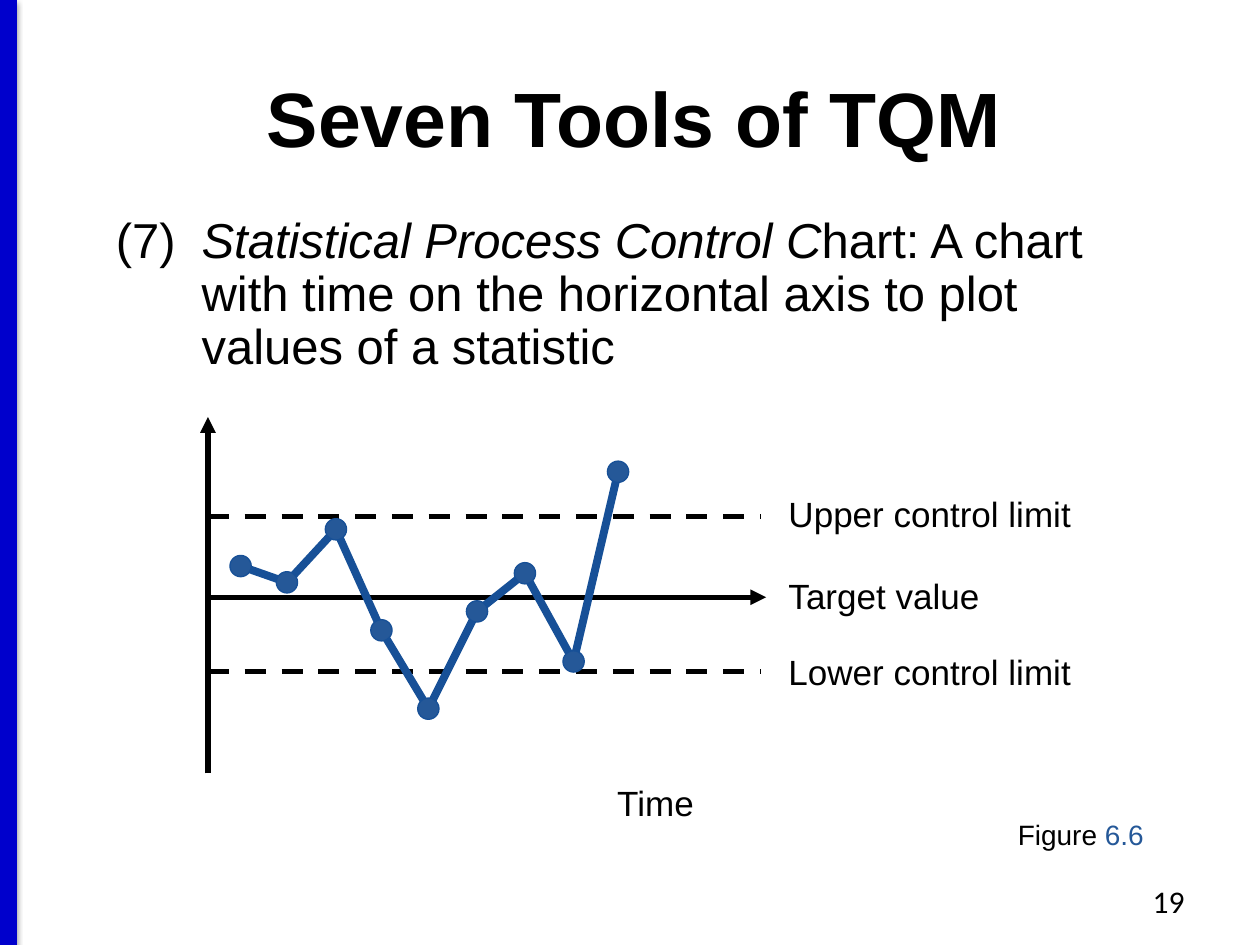
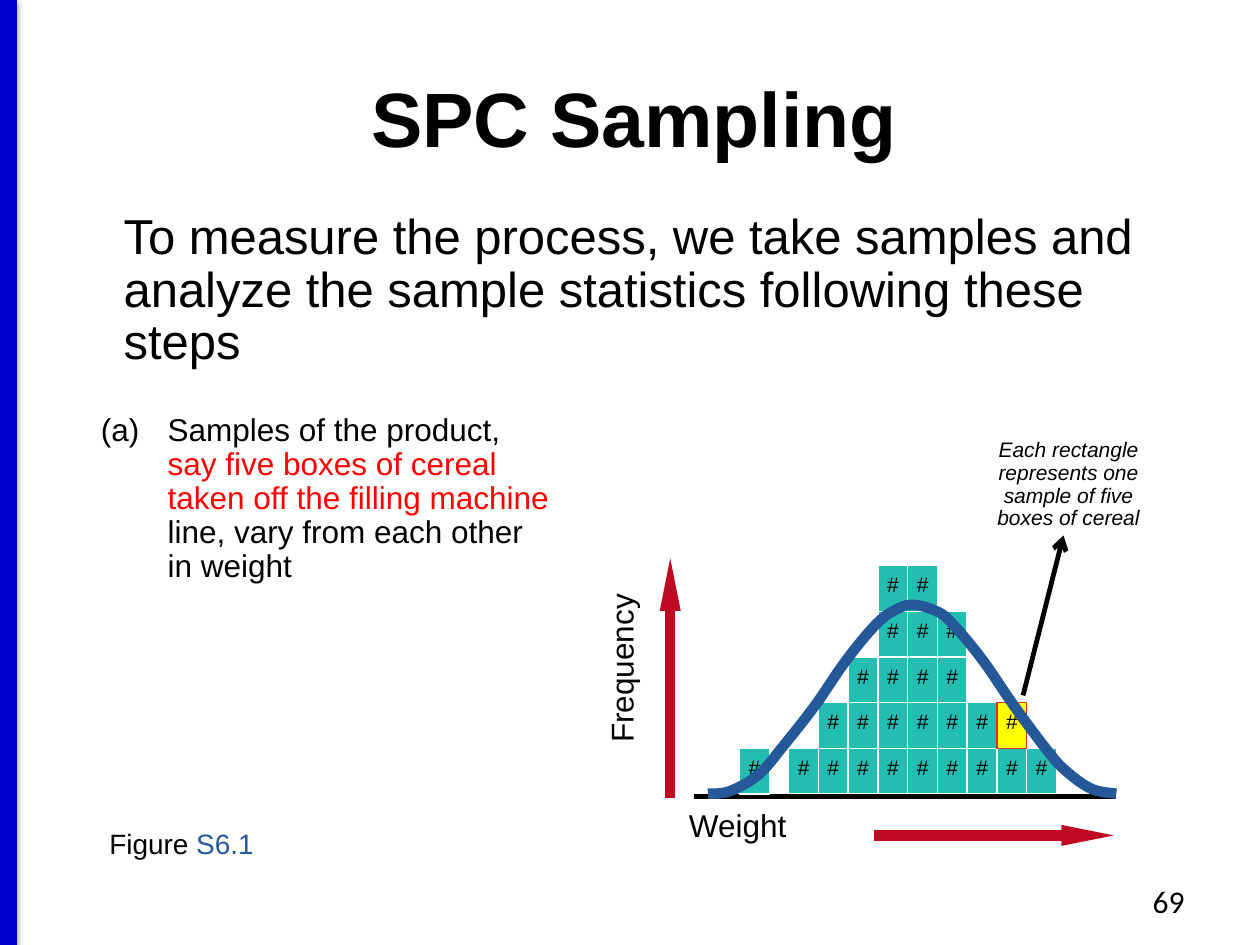
from dataclasses import dataclass
from typing import Any, NamedTuple

import lxml.etree
import pptx
import pptx.dml.color
import pptx.enum.dml
import pptx.enum.shapes
import pptx.enum.text
import pptx.oxml.ns
import pptx.util

Pt = pptx.util.Pt
qn = pptx.oxml.ns.qn
Align = pptx.enum.text.PP_ALIGN
Anchor = pptx.enum.text.MSO_ANCHOR
Fit = pptx.enum.text.MSO_AUTO_SIZE
Kind = pptx.enum.shapes.MSO_SHAPE


@dataclass(frozen=True)
class Theme:
    font: str = "Arial"
    plain: str = "Calibri"
    black: str = "000000"
    white: str = "FFFFFF"
    band: str = "0000CC"
    blue: str = "255898"
    navy: str = "175097"
    red: str = "FF0000"
    wine: str = "BF0922"
    teal: str = "24BDB2"
    gold: str = "FFFF00"
    rust: str = "D33320"
    title: float = 44
    body: float = 28
    label: float = 20
    small: float = 18
    figure: float = 16
    tiny: float = 12


theme = Theme()


class Box(NamedTuple):
    left: float
    top: float
    width: float
    height: float


class Dot(NamedTuple):
    x: float
    y: float


class Run(NamedTuple):
    text: str
    color: str = theme.black
    slant: bool = False
    bold: bool = False


@dataclass(frozen=True)
class Note:
    box: Box
    runs: tuple[Run, ...]
    size: float
    font: str = theme.font
    align: Any = Align.LEFT
    gap: float = 1.0
    hang: float = 0
    wrap: bool = False
    turn: float = 0
    anchor: Any = Anchor.TOP


@dataclass(frozen=True)
class Line:
    start: Dot
    end: Dot
    width: float = 3
    color: str = theme.black
    dash: bool = False
    tip: str = ""
    wide: str = "med"
    long: str = "med"
    shade: bool = False


class Row(NamedTuple):
    first: int
    count: int


def paint(text: str) -> Any:
    return pptx.dml.color.RGBColor.from_string(text)


def write(frame: Any, note: Note) -> None:
    frame.word_wrap = note.wrap
    frame.vertical_anchor = note.anchor
    par = frame.paragraphs[0]
    par.alignment = note.align
    par.line_spacing = note.gap
    par.space_before = Pt(0)
    props = par._p.get_or_add_pPr()
    props.set("marL", str(Pt(note.hang)))
    props.set("indent", str(Pt(-note.hang)))
    lxml.etree.SubElement(props, qn("a:buNone"))
    for part in note.runs:
        run = par.add_run()
        run.text = part.text
        run.font.name = note.font
        run.font.size = Pt(note.size)
        run.font.bold = part.bold
        run.font.italic = part.slant
        run.font.color.rgb = paint(part.color)


def place(shape: Any, note: Note) -> None:
    shape.left, shape.top, shape.width, shape.height = map(Pt, note.box)
    shape.text_frame.auto_size = Fit.NONE
    write(shape.text_frame, note)


def label(slide: Any, note: Note) -> None:
    shape = slide.shapes.add_textbox(*map(Pt, note.box))
    shape.rotation = note.turn
    write(shape.text_frame, note)


def stroke(slide: Any, line: Line) -> None:
    shape = slide.shapes.add_connector(
        pptx.enum.shapes.MSO_CONNECTOR.STRAIGHT, *map(Pt, line.start + line.end))
    shape.line.color.rgb = paint(line.color)
    shape.line.width = Pt(line.width)
    if line.dash:
        shape.line.dash_style = pptx.enum.dml.MSO_LINE.DASH
    props = shape._element.spPr
    if line.tip:
        lxml.etree.SubElement(props.find(qn("a:ln")), qn("a:tailEnd"),
                              type=line.tip, w=line.wide, len=line.long)
    effects = lxml.etree.SubElement(props, qn("a:effectLst"))
    if line.shade:
        shade = lxml.etree.SubElement(
            effects, qn("a:outerShdw"), blurRad=str(Pt(3.1)),
            dist=str(Pt(1.6)), dir="5400000", rotWithShape="0")
        tint = lxml.etree.SubElement(shade, qn("a:srgbClr"), val=theme.black)
        lxml.etree.SubElement(tint, qn("a:alpha"), val="38000")


def block(slide: Any, kind: Any, box: Box, fill: str, edge: str) -> Any:
    shape = slide.shapes.add_shape(kind, *map(Pt, box))
    shape.shadow.inherit = False
    shape.fill.solid()
    shape.fill.fore_color.rgb = paint(fill)
    shape.line.color.rgb = paint(edge)
    shape.line.width = Pt(0.75)
    return shape


def trace(slide: Any, dots: list[Dot], color: str, width: float) -> None:
    spots = [(Pt(dot.x), Pt(dot.y)) for dot in dots]
    pen = slide.shapes.build_freeform(*spots[0], scale=1.0)
    pen.add_line_segments(spots[1:], close=False)
    shape = pen.convert_to_shape()
    shape.shadow.inherit = False
    shape.fill.background()
    shape.line.color.rgb = paint(color)
    shape.line.width = Pt(width)


def blend(a: float, b: float, c: float, d: float, t: float) -> float:
    return b + t * (c - a + t * (2 * a - 5 * b + 4 * c - d
                                 + t * (3 * (b - c) + d - a))) / 2


def smooth(dots: list[Dot], steps: int = 8) -> list[Dot]:
    ends = [dots[0], *dots, dots[-1]]
    curve = [
        Dot(*(blend(*axis, step / steps) for axis in zip(*ends[i:i + 4])))
        for i in range(len(dots) - 1) for step in range(steps)
    ]
    return [*curve, dots[-1]]


def start(deck: Any, layout: int, title: str, page: str) -> Any:
    slide = deck.slides.add_slide(deck.slide_layouts[layout])
    stroke(slide, Line(Dot(5, 0), Dot(5, 540), 10, theme.band, shade=True))
    place(slide.shapes.title, Note(
        Box(5, 21.6, 715, 90), (Run(title, bold=True),), theme.title,
        align=Align.CENTER, wrap=True, anchor=Anchor.MIDDLE))
    label(slide, Note(Box(516.2, 500.4, 167.8, 28.8), (Run(page),),
                      theme.small, theme.plain, Align.RIGHT, wrap=True))
    return slide


def control(deck: Any) -> None:
    slide = start(deck, 1, "Seven Tools of TQM", "19")
    place(slide.placeholders[1], Note(
        Box(59, 120.2, 589, 99.4),
        (Run("(7)\t"), Run("Statistical Process Control C", slant=True),
         Run("hart: A chart with time on the horizontal axis to plot "
             "values of a statistic")),
        theme.body, gap=0.9, hang=49, wrap=True))
    label(slide, Note(Box(574.6, 463.7, 90, 26.6),
                      (Run("Figure "), Run("6.6", theme.blue)), theme.figure))
    for text, left, top, width in (
        ("Upper control limit", 443.5, 277.9, 177),
        ("Target value", 443.5, 324.7, 124.6),
        ("Lower control limit", 443.5, 367.9, 177),
        ("Time", 345.6, 442.8, 58.3),
    ):
        label(slide, Note(Box(left, top, width, 31.7), (Run(text),), theme.label))
    left = 118.8
    stroke(slide, Line(Dot(left, 442), Dot(left, 238.3), tip="triangle"))
    stroke(slide, Line(Dot(left, 341.3), Dot(437.8, 341.3), tip="triangle"))
    for level in (295.2, 383.8):
        stroke(slide, Line(Dot(left, level), Dot(434.9, level), dash=True))
    dots = [
        Dot(137.5, 323.5), Dot(164, 332.8), Dot(192, 302.5),
        Dot(218, 360.2), Dot(244.8, 405), Dot(272.6, 349.4),
        Dot(300, 327.6), Dot(327.8, 378), Dot(353.2, 269.6),
    ]
    trace(slide, dots, theme.navy, 4.5)
    size = 12.2
    for dot in dots:
        block(slide, Kind.OVAL,
              Box(dot.x - size / 2, dot.y - size / 2, size, size),
              theme.blue, theme.navy)


def cell(slide: Any, left: float, top: float, marked: bool = False) -> None:
    fill, edge = (theme.gold, theme.rust) if marked else (theme.teal, theme.white)
    box = Box(left, top, 17, 26)
    shape = block(slide, Kind.RECTANGLE, box, fill, edge)
    frame = shape.text_frame
    frame.margin_left = frame.margin_right = frame.margin_bottom = Pt(0)
    frame.margin_top = Pt(5)
    write(frame, Note(box, (Run("#"),), theme.tiny, align=Align.CENTER, gap=0.9))


def sample(deck: Any) -> None:
    slide = start(deck, 3, "SPC Sampling", "69")
    place(slide.placeholders[1], Note(
        Box(63.4, 117.4, 593.3, 99.4),
        (Run("To measure the process, we take samples and analyze the "
             "sample statistics following these steps"),),
        theme.body, gap=0.9, wrap=True))
    place(slide.placeholders[2], Note(
        Box(50.4, 233.3, 272.2, 105.8),
        (Run("(a)\tSamples of the product, "),
         Run("say five boxes of cereal taken off the filling machine ", theme.red),
         Run("line, vary from each other in weight")),
        theme.small, gap=0.9, hang=38.2, wrap=True))
    label(slide, Note(Box(306.7, 367.9, 100, 27.4), (Run("Frequency"),),
                      theme.small, gap=0.9, turn=270))
    label(slide, Note(Box(386.6, 459.4, 70.6, 27.4), (Run("Weight"),),
                      theme.small, gap=0.9))
    for tail, head in ((Dot(383, 455.8), Dot(383, 319)),
                       (Dot(499.7, 477.4), Dot(636.5, 477.4))):
        stroke(slide, Line(tail, head, 6, theme.wine, tip="triangle",
                           wide="sm", long="lg"))
    left, base, across, up = 450.7, 427.7, 17, 26.1
    rows = (Row(0, 9), Row(1, 7), Row(2, 4), Row(3, 3), Row(3, 2))
    for level, row in enumerate(rows):
        for col in range(row.first, row.first + row.count):
            cell(slide, left + col * across, base - level * up,
                 (level, col) == (1, 7))
    stroke(slide, Line(Dot(396.7, 455), Dot(637.9, 455)))
    cell(slide, 422.6, base)
    label(slide, Note(
        Box(560.9, 247.7, 99.4, 59.8),
        (Run("Each rectangle represents one sample of five boxes of cereal",
             slant=True),),
        theme.tiny, align=Align.CENTER, gap=0.9, wrap=True))
    stroke(slide, Line(Dot(584.6, 397.4), Dot(607.7, 306), 2.75, tip="arrow"))
    label(slide, Note(Box(55.4, 470.9, 97.9, 25.2),
                      (Run("Figure "), Run("S6.1", theme.blue)),
                      theme.figure, gap=0.9))
    bell = [
        Dot(404.6, 453.6), Dot(416.9, 452.2), Dot(433.4, 442.8),
        Dot(447.1, 427), Dot(465.8, 403.2), Dot(483.1, 378),
        Dot(499.7, 357.8), Dot(510.5, 349.2), Dot(521.3, 345.6),
        Dot(535, 349.2), Dot(544.3, 356.4), Dot(561.6, 377.3),
        Dot(578.9, 402.5), Dot(597.6, 427.7), Dot(608.4, 439.9),
        Dot(623.5, 450.7), Dot(637.9, 453.6),
    ]
    trace(slide, smooth(bell), theme.blue, 6)


def main() -> None:
    deck = pptx.Presentation()
    deck.slide_width, deck.slide_height = Pt(720), Pt(540)
    control(deck)
    sample(deck)
    deck.save("out.pptx")


if __name__ == "__main__":
    main()
